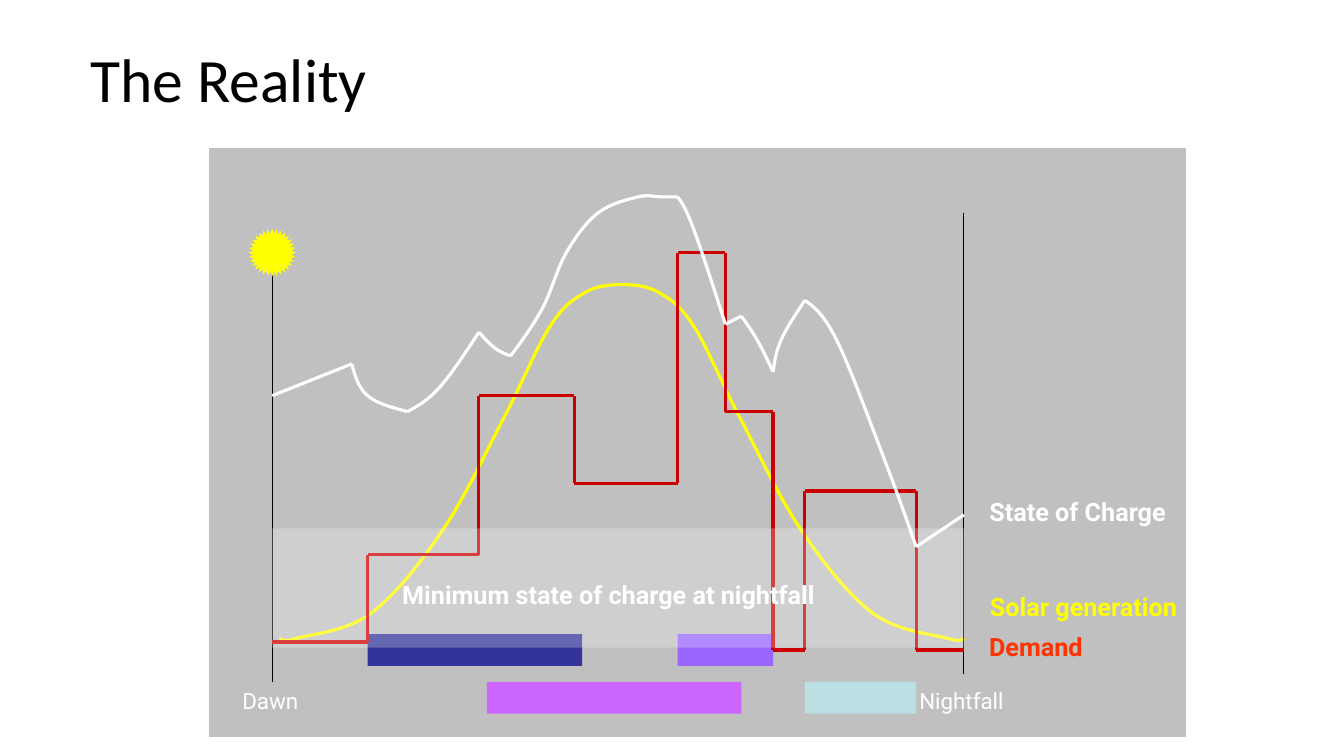
from itertools import pairwise

from lxml import etree
from pptx import Presentation, util as u
from pptx.dml.color import RGBColor
from pptx.enum import shapes, text
from pptx.oxml.ns import qn

BLACK = RGBColor(0x00, 0x00, 0x00)
WHITE = RGBColor(0xFF, 0xFF, 0xFF)
GREY = RGBColor(0x80, 0x80, 0x80)
YELLOW = RGBColor(0xFF, 0xFF, 0x00)
RED = RGBColor(0xCC, 0x00, 0x00)
ORANGE = RGBColor(0xFF, 0x33, 0x00)
NAVY = RGBColor(0x33, 0x33, 0x99)
MAGENTA = RGBColor(0xCC, 0x66, 0xFF)
VIOLET = RGBColor(0x99, 0x66, 0xFF)
PALE_BLUE = RGBColor(0xBB, 0xE0, 0xE3)

presentation = Presentation()
presentation.slide_width = u.Inches(13.33)
presentation.slide_height = u.Inches(7.5)
slide = presentation.slides.add_slide(presentation.slide_layouts[6])

# The day runs over 87 columns from dawn to nightfall; rows count up from zero demand.
DAY = 87
CELL = u.Inches(6.86) / DAY
DAWN_X, ZERO_Y = u.Inches(2.7), u.Inches(6.37)


def at(column, row):
    """Turn a column and row of the day grid into slide lengths."""
    return round(DAWN_X + column * CELL), round(ZERO_Y - row * CELL)


def add_curve(knots, colour):
    """Draw a smooth Bézier curve through knots given on the day grid."""
    tangents = [((c[0] - a[0]) / 6, (c[1] - a[1]) / 6) for a, c in zip(knots, knots[2:])]
    leaving = [None] + [(k[0] + t[0], k[1] + t[1]) for k, t in zip(knots[1:], tangents)]
    arriving = [(k[0] - t[0], k[1] - t[1]) for k, t in zip(knots[1:], tangents)] + [None]
    points = []
    for (start, end), first, second in zip(pairwise(knots), leaving, arriving):
        first = first or [(a + b) / 2 for a, b in zip(start, second or end)]
        second = second or [(a + b) / 2 for a, b in zip(first, end)]
        points += [at(*first), at(*second), at(*end)]
    builder = slide.shapes.build_freeform(*at(*knots[0]))
    builder.add_line_segments(points, close=False)
    curve = builder.convert_to_shape()
    outline = next(curve._element.iter(qn("a:path")))
    segments = outline.findall(qn("a:lnTo"))
    for index in range(0, len(segments), 3):
        bezier = etree.SubElement(outline, qn("a:cubicBezTo"))
        for segment in segments[index:index + 3]:
            bezier.append(segment[0])
            outline.remove(segment)
    curve.shadow.inherit = False
    curve.fill.background()
    curve.line.color.rgb = colour
    curve.line.width = u.Pt(2.25)


# Texts: left, top, width and height in inches come from the grid or from slide shares
title_place = [round(presentation.slide_width * 0.06), round(presentation.slide_height * 0.013),
               round(presentation.slide_width * 0.863), round(presentation.slide_height * 0.193)]
labels = [
    ("Dawn", -5.5, -5, 10.5, 16, False, WHITE),
    ("Nightfall", 79.5, -5, 14.4, 16, False, WHITE),
    ("Solar generation", 85.8, 7, 32.5, 18, True, YELLOW),
    ("Demand", 87.4, 2, 17.3, 18, True, ORANGE),
    ("State of Charge", 86, 19, 30.6, 18, True, WHITE),
    ("Minimum state of charge at nightfall", 8.25, 8.5, 68.1, 18, True, WHITE),
]

# Areas: shape, column, row, columns wide, rows high, fill, opacity in percent
rectangle = shapes.MSO_SHAPE.RECTANGLE
panel = (rectangle, -8, 62.2, 123, 74.2, GREY, 49)
sun = (shapes.MSO_SHAPE.STAR_32_POINT, -3, 52, 6, 6, YELLOW, 100)
appliances = [
    (rectangle, 12, 1, 27, 4, NAVY, 100),
    (rectangle, 27, -5, 32, 4, MAGENTA, 100),
    (rectangle, 51, 1, 12, 4, VIOLET, 100),
    (rectangle, 67, -5, 14, 4, PALE_BLUE, 100),
]
minimum_band = (rectangle, 0, 14.3, DAY, 15, WHITE, 25)

# Lines: two ends on the grid, colour and width
demand = [(0, 0), (12, 0), (12, 11), (26, 11), (26, 31), (38, 31), (38, 20), (51, 20), (51, 49),
          (57, 49), (57, 29), (63, 29), (63, -1), (67, -1), (67, 19), (81, 19), (81, -1), (DAY, -1)]
dawn_line = ((0, 49), (0, -5), BLACK, 0.75)
nightfall_line = ((DAY, 54), (DAY, -4), BLACK, 0.75)
demand_steps = [(start, end, RED, 2.25) for start, end in pairwise(demand)]

# Curves: the solar curve is symmetric about noon
NOON = 44
afternoon = [(NOON, 45), (48.6, 44), (53, 39.8), (58.75, 28.4),
             (66.6, 14), (75.6, 3.6), (84.8, 0.5), (DAY, 0.5)]
morning = [(2 * NOON - column, row) for column, row in afternoon]
charge = [
    [(0, 31), (10, 35)],
    [(10, 35), (12, 31), (17, 29)],
    [(17, 29), (21, 32), (26, 39)],
    [(26, 39), (28, 37), (30, 36)],
    [(30, 36), (34, 42), (37, 49), (41, 54), (46, 56), (49, 56), (51, 56)],
    [(51, 56), (53, 52), (57, 40)],
    [(57, 40), (59, 41)],
    [(59, 41), (61, 38), (63, 34)],
    [(63, 34), (64, 38), (67, 43)],
    [(67, 43), (71, 38), (77, 23), (81, 12)],
    [(81, 12), (DAY, 16)],
]

# Title
title = slide.shapes.add_textbox(*title_place)
title.text_frame.word_wrap = True
title.text_frame.vertical_anchor = text.MSO_ANCHOR.MIDDLE
paragraph = title.text_frame.paragraphs[0]
paragraph.line_spacing = 0.9
run = paragraph.add_run()
run.text = "The Reality"
run.font.name, run.font.size = "Calibri", u.Pt(44)
run.font.color.rgb = BLACK

# Everything on the panel, from back to front
layers = [
    ("area", [panel]), ("line", [dawn_line]), ("area", [sun]),
    ("curve", [(afternoon, YELLOW), (morning, YELLOW)]),
    ("line", [nightfall_line]), ("label", labels[:2]),
    ("area", appliances), ("line", demand_steps),
    ("curve", [(strand, WHITE) for strand in charge]),
    ("label", labels[2:5]), ("area", [minimum_band]), ("label", labels[5:]),
]
for kind, items in layers:
    for item in items:
        if kind == "curve":
            add_curve(*item)
        elif kind == "line":
            start, end, colour, width = item
            line = slide.shapes.add_connector(shapes.MSO_CONNECTOR.STRAIGHT, *at(*start), *at(*end))
            line.line.color.rgb = colour
            line.line.width = u.Pt(width)
            etree.SubElement(line._element.spPr, qn("a:effectLst"))
        elif kind == "area":
            preset, column, row, columns, rows, colour, opacity = item
            area = slide.shapes.add_shape(preset, *at(column, row),
                                          round(columns * CELL), round(rows * CELL))
            area.shadow.inherit = False
            area.fill.solid()
            area.fill.fore_color.rgb = colour
            area.line.fill.background()
            if item is sun:
                area.adjustments[0] = 0.4
            if item is panel:
                area.line.color.rgb = WHITE
                area.line.width = u.Pt(0.75)
            if opacity < 100:
                fill_colour = area._element.spPr.find(qn("a:solidFill"))[0]
                etree.SubElement(fill_colour, qn("a:alpha"), val=str(opacity * 1000))
        else:
            wording, column, row, columns, size, bold, colour = item
            label = slide.shapes.add_textbox(*at(column, row), round(columns * CELL),
                                             u.Inches(0.37 if size == 16 else 0.4))
            label.text_frame.word_wrap = False
            paragraph = label.text_frame.paragraphs[0]
            paragraph.alignment = text.PP_ALIGN.CENTER
            run = paragraph.add_run()
            run.text = wording
            run.font.name, run.font.size, run.font.bold = "Roboto", u.Pt(size), bold
            run.font.color.rgb = colour

presentation.save("out.pptx")
